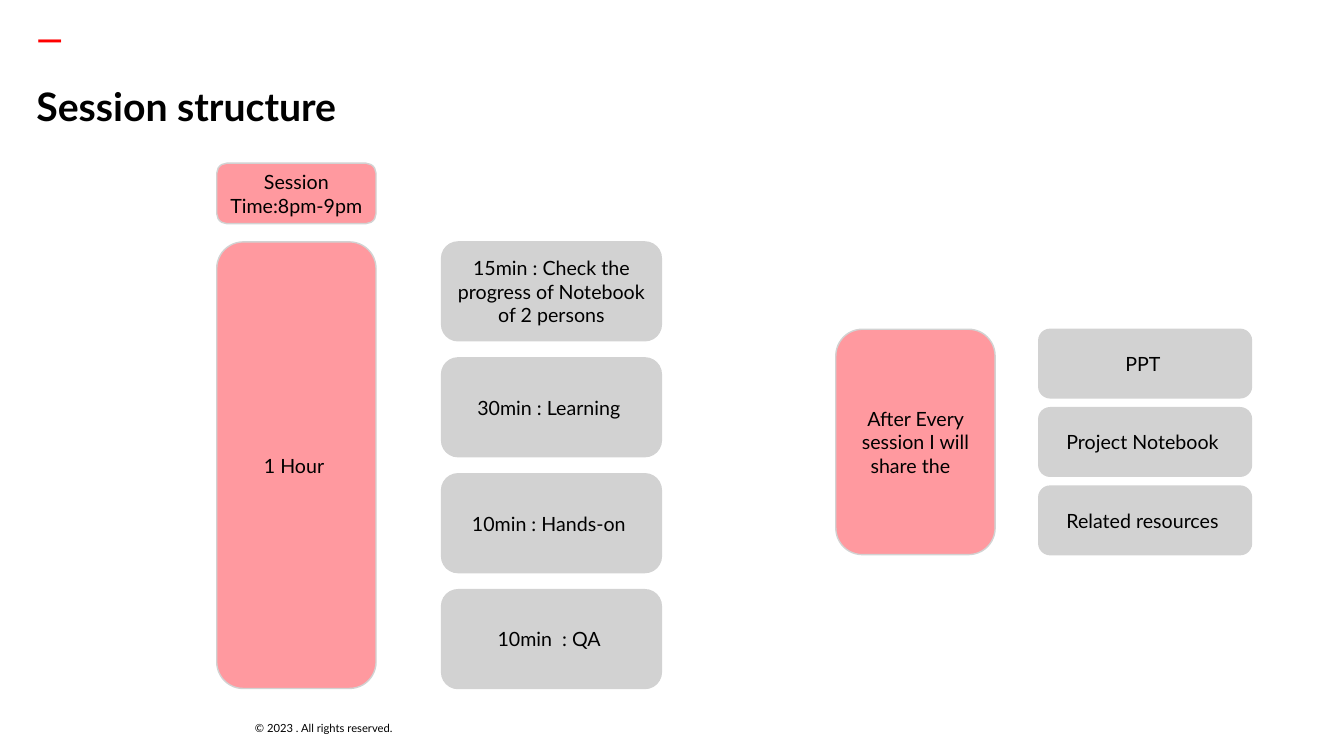
from pptx import Presentation
from pptx.dml.color import RGBColor
from pptx.enum.shapes import MSO_SHAPE
from pptx.enum.text import MSO_ANCHOR, PP_ALIGN
from pptx.util import Pt

# Content
TITLE = "Session structure"
FOOTER = "© 2023 . All rights reserved."
TIME = "Session Time:8pm-9pm"
GROUPS = [
    # heading, items, top, heading left, item left, item width, item height, step
    ("1 Hour ",
     ["15min : Check the progress of Notebook of 2 persons",
      "30min : Learning ", "10min : Hands-on ", "10min  : QA "],
     172.8, 154.8, 315.4, 157, 70.6, 82.8),
    ("After Every session I will share the  ",
     ["PPT ", "Project Notebook ", "Related resources "],
     235.2, 597, 742, 152, 49, 56),
]
COLORS = {"pink": "FF999F", "grey": "D2D2D2", "red": "FF0000", "black": "000000"}
HEAD_W = 113.8


def color(name):
    return RGBColor.from_string(COLORS[name])


def write(shape, text, size=14, ink="black", bold=False, align=PP_ALIGN.LEFT,
          anchor=MSO_ANCHOR.MIDDLE, before=6, margins=None):
    tf = shape.text_frame
    tf.word_wrap = True
    tf.vertical_anchor = anchor
    if margins:
        (tf.margin_left, tf.margin_top,
         tf.margin_right, tf.margin_bottom) = [Pt(m) for m in margins]
    p = tf.paragraphs[0]
    p.alignment = align
    p.space_before = Pt(before)
    r = p.add_run()
    r.text = text
    r.font.name = "Lato"
    r.font.size = Pt(size)
    r.font.bold = bold
    r.font.color.rgb = color(ink)


def add_card(s, text, fill, x, y, w, h):
    card = s.shapes.add_shape(MSO_SHAPE.ROUNDED_RECTANGLE, Pt(x), Pt(y), Pt(w), Pt(h))
    card.shadow.inherit = False
    card.fill.solid()
    card.fill.fore_color.rgb = color(fill)
    card.line.color.rgb = color("grey")
    card.line.width = Pt(1)
    write(card, text, align=PP_ALIGN.CENTER)


prs = Presentation()
prs.slide_width, prs.slide_height = Pt(960), Pt(540)
s = prs.slides.add_slide(prs.slide_layouts[5])

# Title with the red dash above it
title = s.shapes.title
title.left, title.top, title.width, title.height = Pt(26), Pt(59), Pt(907), Pt(50)
write(title, TITLE, size=28, bold=True, anchor=MSO_ANCHOR.TOP, before=0,
      margins=(0, 0, 0, 0))
dash = s.shapes.add_textbox(Pt(26), Pt(40.3), Pt(24.5), Pt(2.9))
write(dash, "—", size=24, ink="red", bold=True, anchor=MSO_ANCHOR.TOP,
      margins=(0, 0, 0, 31.7))

# Session time, then each heading beside its stack of items
add_card(s, TIME, "pink", 154.8, 116.6, HEAD_W, 43.2)
for heading, items, top, head_x, item_x, item_w, item_h, step in GROUPS:
    head_h = step * (len(items) - 1) + item_h
    add_card(s, heading, "pink", head_x, top, HEAD_W, head_h)
    for i, item in enumerate(items):
        add_card(s, item, "grey", item_x, top + i * step, item_w, item_h)

# Footer
footer = s.shapes.add_textbox(Pt(182), Pt(513.4), Pt(176), Pt(13.7))
write(footer, FOOTER, size=8, margins=(0, 0, 0, 0))

prs.save("out.pptx")
